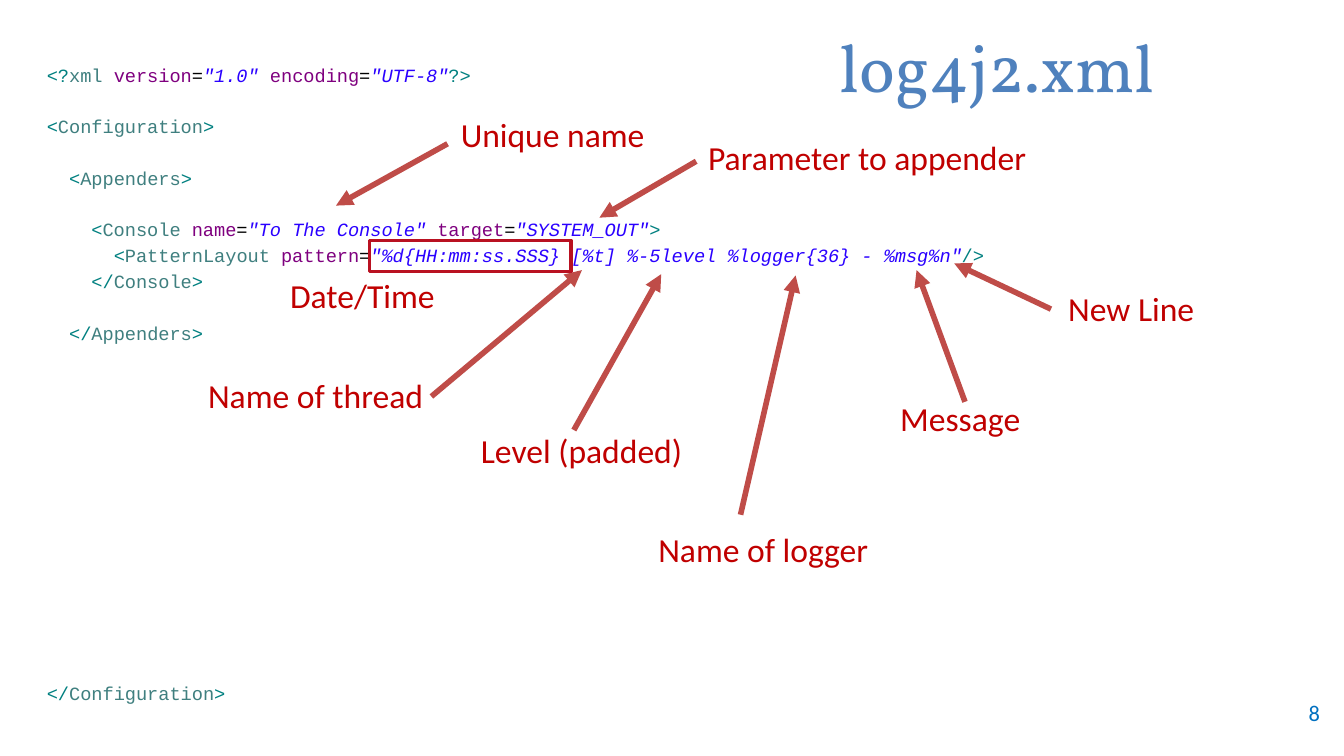
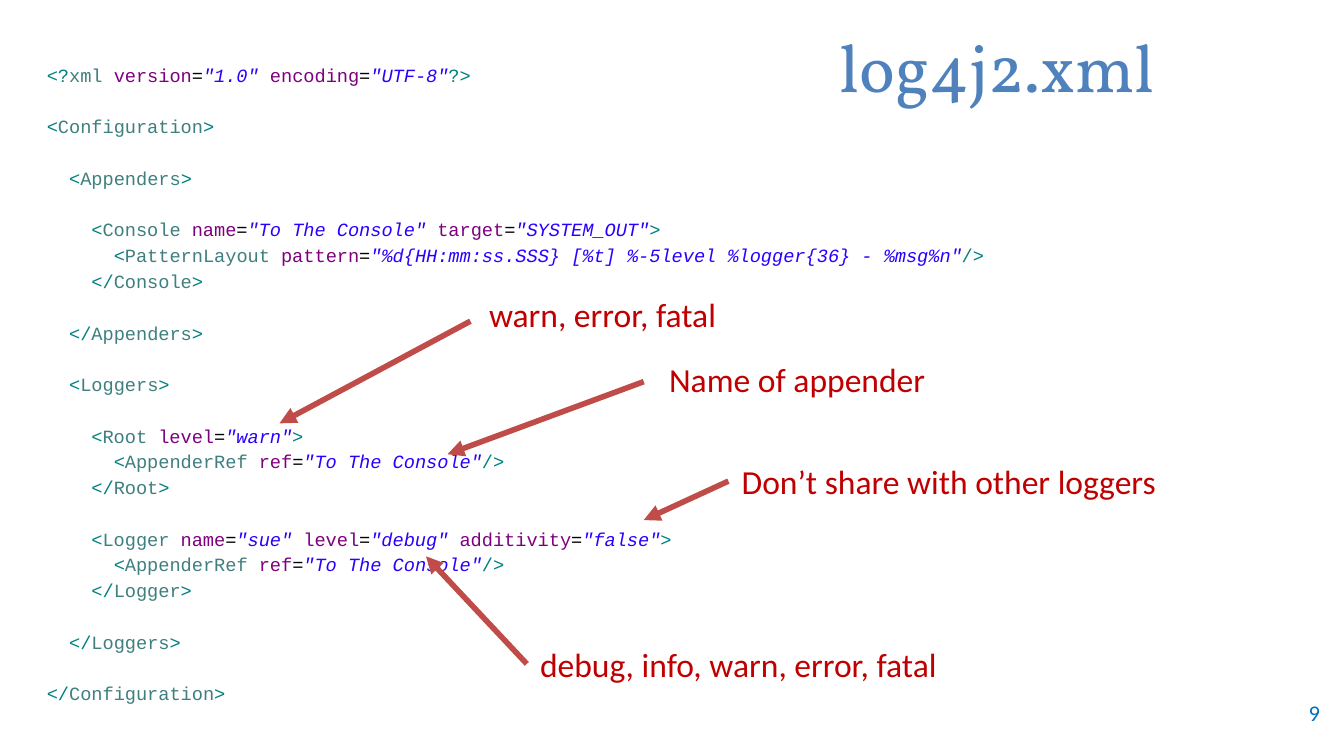
from dataclasses import dataclass
from itertools import groupby
from typing import Iterator, Optional

import lxml.etree
import pptx
import pptx.dml.color
import pptx.enum.shapes
import pptx.enum.text
import pptx.oxml.ns
import pptx.util

Inches = pptx.util.Inches
Pt = pptx.util.Pt
Point = tuple[float, float]
Box = tuple[float, float, float, float]


def rgb(value: str) -> pptx.dml.color.RGBColor:
    return pptx.dml.color.RGBColor.from_string(value)


@dataclass(frozen=True)
class Theme:
    title_font: str = "Vollkorn"
    label_font: str = "Calibri"
    code_font: str = "Courier New"
    title_size: float = 36
    label_size: float = 18
    number_size: float = 12
    code_size: float = 10
    code_spacing: float = 1.15
    code_line: float = 13.8  # height of one skipped code line, in points
    arrow_width: float = 3
    frame_width: float = 2
    title: str = "4F81BD"
    number: str = "0070C0"
    label: str = "C00000"
    arrow: str = "BF4C48"
    frame: str = "B91121"
    bracket: str = "008080"
    tag: str = "3F7F7F"
    attribute: str = "7F007F"
    value: str = "2A00FF"
    plain: str = "000000"


THEME = Theme()
SLIDE_WIDTH = Inches(10)
SLIDE_HEIGHT = SLIDE_WIDTH * 9 // 16
TITLE_BOX: Box = (4.92, 0.15, 5, 0.67)
NUMBER_BOX: Box = (9.25, 5.15, 0.67, 0.3)
CODE_BOX: Box = (0.25, 0.4, 9.08, 5.13)
LABEL_HEIGHT = 0.4
LEFT_SIDE = 1


@dataclass(frozen=True)
class Annotation:
    """A label; its arrow leaves from start, or from the label's left side."""
    text: str
    left: float
    top: float
    width: float
    tip: Optional[Point] = None
    start: Optional[Point] = None


@dataclass(frozen=True)
class ConfigSlide:
    number: int
    code: list[str]
    annotations: list[Annotation]
    framed: Optional[Box] = None


# Configuration file, in parts
APPENDERS = """\
<?xml version="1.0" encoding="UTF-8"?>

<Configuration>

  <Appenders>

    <Console name="To The Console" target="SYSTEM_OUT">
      <PatternLayout pattern="%d{HH:mm:ss.SSS} [%t] %-5level %logger{36} - %msg%n"/>
    </Console>

  </Appenders>
""".splitlines()

LOGGERS = """
  <Loggers>

    <Root level="warn">
      <AppenderRef ref="To The Console"/>
    </Root>

    <Logger name="sue" level="debug" additivity="false">
      <AppenderRef ref="To The Console"/>
    </Logger>

  </Loggers>

""".splitlines()

CLOSING = ["</Configuration>"]

SLIDES = [
    ConfigSlide(
        number=8,
        code=APPENDERS + [""] * len(LOGGERS) + CLOSING,
        annotations=[
            Annotation("Unique name", 3.33, 0.8, 2.25, (2.5, 1.53), (3.33, 1.07)),
            Annotation("Parameter to appender", 5.17, 0.97, 2.88, (4.46, 1.62), (5.18, 1.2)),
            Annotation("Date/Time", 2.06, 2, 2.88),
            Annotation("Name of thread", 1.45, 2.74, 2.88, (4.33, 2.01), (3.21, 2.95)),
            Annotation("Level (padded)", 3.48, 3.15, 1.83, (4.92, 2.04), (4.27, 3.2)),
            Annotation("Name of logger", 4.8, 3.89, 1.83, (5.92, 2.05), (5.51, 3.83)),
            Annotation("Message", 6.6, 2.91, 1.26, (6.82, 2.01), (7.18, 2.99)),
            Annotation("New Line", 7.85, 2.09, 1.26, (7.1, 1.96), (7.82, 2.3)),
        ],
        framed=(2.75, 1.79, 1.5, 0.23),
    ),
    ConfigSlide(
        number=9,
        code=APPENDERS + LOGGERS + CLOSING,
        annotations=[
            Annotation("warn, error, fatal", 3.54, 2.14, 2.88, (2.08, 3.15), (3.5, 2.39)),
            Annotation("Name of appender", 4.88, 2.62, 2.88, (3.33, 3.38), (4.79, 2.84)),
            Annotation("Don’t share with other loggers", 5.42, 3.38, 3.67, (4.79, 3.87)),
            Annotation("debug, info, warn, error, fatal", 3.92, 4.74, 3.17, (3.17, 4.14)),
        ],
    ),
]


def set_font(paragraph, font: str, size: float, color: str) -> None:
    paragraph.font.name = font
    paragraph.font.size = Pt(size)
    paragraph.font.color.rgb = rgb(color)


def add_text_box(slide, box: Box):
    text_box = slide.shapes.add_textbox(*map(Inches, box))
    text_box.text_frame.word_wrap = True
    return text_box


# Syntax colouring
def char_kind(char: str) -> str:
    if char in "<>/?":
        return "bracket"
    return "plain" if char == "=" else "word"


def tokens(line: str) -> Iterator[tuple[str, str]]:
    """Yield each piece of an XML line with its theme colour."""
    indent = line[:len(line) - len(line.lstrip())]
    if indent:
        yield indent, THEME.plain
    for index, part in enumerate(line.lstrip().split('"')):
        if index % 2:
            yield f'"{part}"', THEME.value
            continue
        after_bracket = False
        for kind, chars in groupby(part, char_kind):
            text = "".join(chars)
            if kind != "word":
                yield text, THEME.bracket if kind == "bracket" else THEME.plain
            elif after_bracket:
                tag, space, attribute = text.partition(" ")
                yield tag + space, THEME.tag
                if attribute:
                    yield attribute, THEME.attribute
            else:
                yield text, THEME.attribute
            after_bracket = kind == "bracket"


def add_code(slide, lines: list[str]) -> None:
    frame = add_text_box(slide, CODE_BOX).text_frame
    paragraph = None
    skipped = 0
    for line in lines:
        if not line:
            skipped += 1
            continue
        paragraph = frame.add_paragraph() if paragraph else frame.paragraphs[0]
        paragraph.line_spacing = THEME.code_spacing
        if skipped:
            paragraph.space_before = Pt(skipped * THEME.code_line)
        skipped = 0
        paragraph.font.name = THEME.code_font
        paragraph.font.size = Pt(THEME.code_size)
        for text, color in tokens(line):
            run = paragraph.add_run()
            run.text = text
            run.font.color.rgb = rgb(color)
            if color == THEME.value:
                run.font.italic = True


# Labels, arrows and frame
def add_arrow(slide, start: Point, tip: Point):
    arrow = slide.shapes.add_connector(
        pptx.enum.shapes.MSO_CONNECTOR.STRAIGHT, *map(Inches, start + tip))
    arrow.line.color.rgb = rgb(THEME.arrow)
    arrow.line.width = Pt(THEME.arrow_width)
    qn = pptx.oxml.ns.qn
    lxml.etree.SubElement(arrow.line._get_or_add_ln(), qn("a:tailEnd"), type="triangle")
    lxml.etree.SubElement(arrow._element.spPr, qn("a:effectLst"))
    return arrow


def add_annotation(slide, note: Annotation) -> None:
    label = add_text_box(slide, (note.left, note.top, note.width, LABEL_HEIGHT))
    label.text_frame.auto_size = pptx.enum.text.MSO_AUTO_SIZE.SHAPE_TO_FIT_TEXT
    paragraph = label.text_frame.paragraphs[0]
    paragraph.text = note.text
    set_font(paragraph, THEME.label_font, THEME.label_size, THEME.label)
    if note.tip:
        side_middle = (note.left, note.top + LABEL_HEIGHT / 2)
        arrow = add_arrow(slide, note.start or side_middle, note.tip)
        if not note.start:
            arrow.begin_connect(label, LEFT_SIDE)


def add_frame(slide, box: Box) -> None:
    frame = slide.shapes.add_shape(
        pptx.enum.shapes.MSO_SHAPE.RECTANGLE, *map(Inches, box))
    frame.shadow.inherit = False
    frame.fill.background()
    frame.line.color.rgb = rgb(THEME.frame)
    frame.line.width = Pt(THEME.frame_width)


# Parts shared by all slides
def add_title(slide) -> None:
    title = slide.shapes.title
    title.left, title.top, title.width, title.height = map(Inches, TITLE_BOX)
    title.text_frame.auto_size = pptx.enum.text.MSO_AUTO_SIZE.NONE
    title.text_frame.vertical_anchor = pptx.enum.text.MSO_ANCHOR.MIDDLE
    paragraph = title.text_frame.paragraphs[0]
    paragraph.text = "log4j2.xml"
    paragraph.alignment = pptx.enum.text.PP_ALIGN.CENTER
    set_font(paragraph, THEME.title_font, THEME.title_size, THEME.title)


def add_number(slide, number: int) -> None:
    frame = add_text_box(slide, NUMBER_BOX).text_frame
    frame.vertical_anchor = pptx.enum.text.MSO_ANCHOR.MIDDLE
    paragraph = frame.paragraphs[0]
    paragraph.text = str(number)
    paragraph.alignment = pptx.enum.text.PP_ALIGN.RIGHT
    set_font(paragraph, THEME.label_font, THEME.number_size, THEME.number)


def main() -> None:
    deck = pptx.Presentation()
    deck.slide_width, deck.slide_height = SLIDE_WIDTH, SLIDE_HEIGHT
    title_only = deck.slide_layouts[5]
    for content in SLIDES:
        slide = deck.slides.add_slide(title_only)
        add_title(slide)
        add_number(slide, content.number)
        add_code(slide, content.code)
        for note in content.annotations:
            add_annotation(slide, note)
        if content.framed:
            add_frame(slide, content.framed)
    deck.save("out.pptx")


if __name__ == "__main__":
    main()
